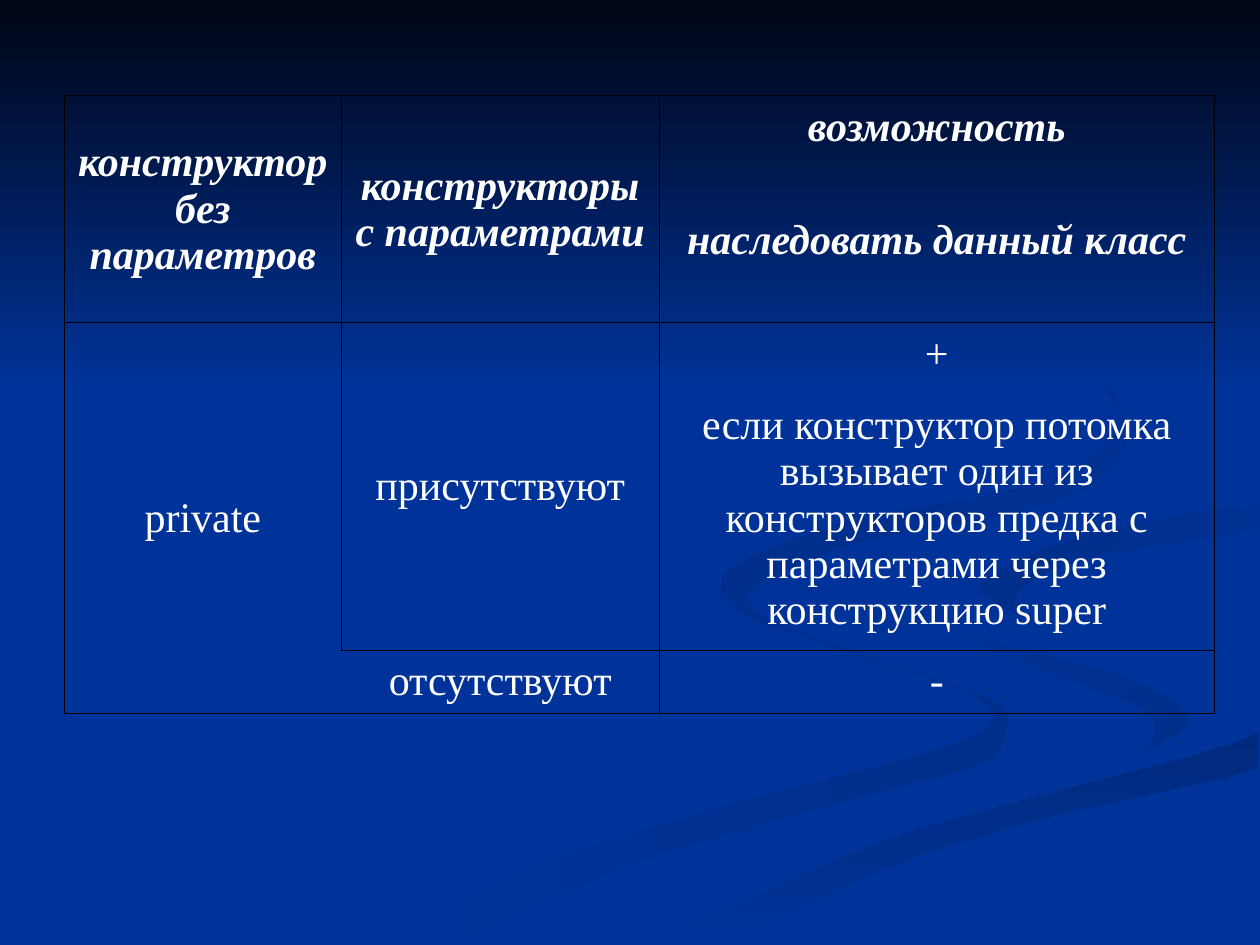
"""Build a slide with a table of constructor kinds over a ribbon background."""
import pptx
import pptx.dml.color
import pptx.enum.shapes
import pptx.enum.text
import pptx.oxml
import pptx.oxml.ns
import pptx.util

COLORS = {
    "background": "003399",
    "night": "000514",
    "ribbon_low": "002E8B",
    "ribbon_edge": "002A7D",
    "ribbon_right": "002D86",
    "ribbon_top": "002B82",
    "border": "000000",
    "text": "FFFFFF",
}
FONT = "Times New Roman"
UNITS_PER_INCH = 100
CURVE_STEPS = 5
BORDER_WIDTH = pptx.util.Pt(0.45)
COLUMNS = (2.2, 2.52, 4.41)
ROWS = (0.5, 1.3, 0.5, 2.1, 0.5)

RIBBONS = (
    (("background", "ribbon_low"), 0, (
        (781, 553), (682, 519), (594, 485), (575, 459), (581, 483), (679, 519),
        (776, 553), (767, 587), (579, 639), (417, 690), (300, 749), (361, 749),
        (499, 687), (676, 634), (780, 605), (799, 573))),
    (("background", "ribbon_low"), 45, (
        (943, 570), (905, 540), (811, 515), (733, 483), (724, 464), (739, 494),
        (838, 536), (907, 562), (914, 589), (894, 605), (932, 589))),
    (("ribbon_edge", "background"), 90, (
        (503, 749), (571, 749), (695, 692), (821, 651), (998, 609),
        (998, 581), (867, 620), (696, 669), (569, 719))),
    (("background",), 0, (
        (725, 464), (775, 503), (889, 535), (943, 575), (843, 618), (663, 668),
        (477, 749), (519, 747), (696, 669), (868, 620), (999, 581), (999, 538),
        (848, 503), (781, 463), (835, 430), (999, 402), (999, 387), (808, 417))),
    (("ribbon_right", "background"), 45, (
        (781, 460), (791, 478), (826, 496), (805, 474), (859, 443), (998, 420),
        (998, 402), (865, 424))),
    (("ribbon_top", "background"), 45, (
        (683, 430), (825, 402), (889, 362), (880, 307), (810, 256), (762, 233),
        (846, 279), (889, 335), (830, 382), (676, 414), (580, 451), (584, 479),
        (622, 500), (593, 470))),
)

BLOCKS = (
    (0, 0, 2, "LRTB", "конструктор без параметров"),
    (0, 1, 2, "LRTB", "конструкторы с параметрами"),
    (0, 2, 1, "LRT", "возможность"),
    (1, 2, 1, "LRB", "наследовать данный класс"),
    (2, 0, 3, "LTB", "private"),
    (2, 1, 2, "LRTB", "присутствуют"),
    (2, 2, 1, "LRT", "+"),
    (3, 2, 1, "LRB", "если конструктор потомка вызывает один из конструкторов "
                     "предка с параметрами через конструкцию super"),
    (4, 1, 1, "RTB", "отсутствуют"),
    (4, 2, 1, "LRTB", "-"),
)


def color(name):
    """Return the named colour."""
    return pptx.dml.color.RGBColor.from_string(COLORS[name])


def paint(shape, names, angle):
    """Fill a shape with one colour or a clockwise-angled gradient."""
    shape.shadow.inherit = False
    shape.line.fill.background()
    if len(names) == 1:
        shape.fill.solid()
        shape.fill.fore_color.rgb = color(names[0])
        return
    shape.fill.gradient()
    shape.fill.gradient_angle = -angle % 360
    for stop, name in zip(shape.fill.gradient_stops, names):
        stop.color.rgb = color(name)


def spline(before, start, end, after, share):
    """Return a coordinate on the Catmull-Rom curve between start and end."""
    slope_in, slope_out = (end - before) / 2, (after - start) / 2
    bend = 3 * (end - start) - 2 * slope_in - slope_out
    twist = 2 * (start - end) + slope_in + slope_out
    return start + share * (slope_in + share * (bend + share * twist))


def smooth_outline(points, limits):
    """Return a closed curve through the points, kept within the limits."""
    count = len(points)
    outline = []
    for index in range(count):
        corners = [points[(index + shift) % count] for shift in (-1, 0, 1, 2)]
        for step in range(CURVE_STEPS):
            outline.append(tuple(
                min(limit, spline(*values, step / CURVE_STEPS))
                for values, limit in zip(zip(*corners), limits)))
    return outline


def add_ribbon(slide, limits, names, angle, points):
    """Draw one closed ribbon from points in hundredths of an inch."""
    outline = smooth_outline(points, limits)
    scale = pptx.util.Inches(1) / UNITS_PER_INCH
    builder = slide.shapes.build_freeform(*outline[0], scale=scale)
    builder.add_line_segments(outline[1:], close=True)
    paint(builder.convert_to_shape(), names, angle)


def add_background(presentation, slide):
    """Set the backdrop colour and draw the ribbons and the dark upper band."""
    slide.background.fill.solid()
    slide.background.fill.fore_color.rgb = color("background")
    size = (presentation.slide_width, presentation.slide_height)
    limits = [length / pptx.util.Inches(1) * UNITS_PER_INCH - 1 for length in size]
    for ribbon in RIBBONS:
        add_ribbon(slide, limits, *ribbon)
    band = slide.shapes.add_shape(
        pptx.enum.shapes.MSO_SHAPE.RECTANGLE, 0, 0, size[0], int(size[1] * 0.41))
    paint(band, ("night", "background"), 90)


def style_cell(cell, sides):
    """Clear a cell's fill and draw only the given borders."""
    properties = cell._tc.get_or_add_tcPr()
    namespace = pptx.oxml.ns.nsdecls("a")
    for side in "LRTB":
        fill = "<a:noFill/>"
        if side in sides:
            fill = f'<a:solidFill><a:srgbClr val="{COLORS["border"]}"/></a:solidFill>'
        properties.append(pptx.oxml.parse_xml(
            f'<a:ln{side} {namespace} w="{BORDER_WIDTH}">{fill}</a:ln{side}>'))
    cell.fill.background()


def write_cell(cell, text, heading):
    """Write centred text, with headings in bold italics."""
    cell.text_frame.text = text
    cell.vertical_anchor = pptx.enum.text.MSO_ANCHOR.MIDDLE
    paragraph = cell.text_frame.paragraphs[0]
    paragraph.alignment = pptx.enum.text.PP_ALIGN.CENTER
    font = paragraph.runs[0].font
    font.name = FONT
    font.size = pptx.util.Pt(24)
    font.bold = font.italic = heading
    font.color.rgb = color("text")


def add_constructor_table(slide):
    """Add the table of constructors and inheritance."""
    inches = pptx.util.Inches
    table = slide.shapes.add_table(
        len(ROWS), len(COLUMNS), inches(0.51), inches(0.76),
        inches(sum(COLUMNS)), inches(sum(ROWS))).table
    table.first_row = table.horz_banding = False
    for column, width in zip(table.columns, COLUMNS):
        column.width = inches(width)
    for row, height in zip(table.rows, ROWS):
        row.height = inches(height)
    for row, column, span, sides, text in BLOCKS:
        for covered in range(row, row + span):
            style_cell(table.cell(covered, column), sides)
        if span > 1:
            table.cell(row, column).merge(table.cell(row + span - 1, column))
        write_cell(table.cell(row, column), text, heading=row < 2)


def main():
    """Build and save the presentation."""
    presentation = pptx.Presentation()
    presentation.slide_width = pptx.util.Inches(10)
    presentation.slide_height = pptx.util.Inches(7.5)
    slide = presentation.slides.add_slide(presentation.slide_layouts[6])
    add_background(presentation, slide)
    add_constructor_table(slide)
    presentation.save("out.pptx")


if __name__ == "__main__":
    main()
